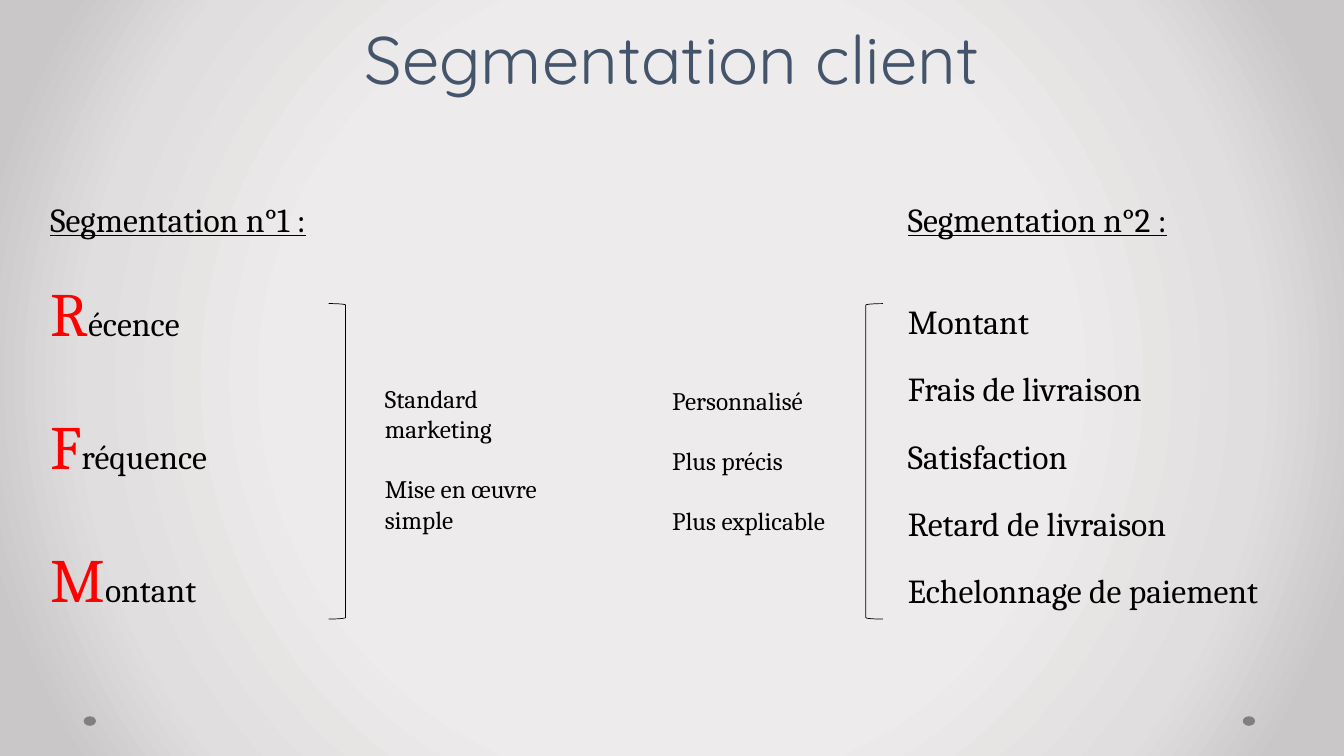
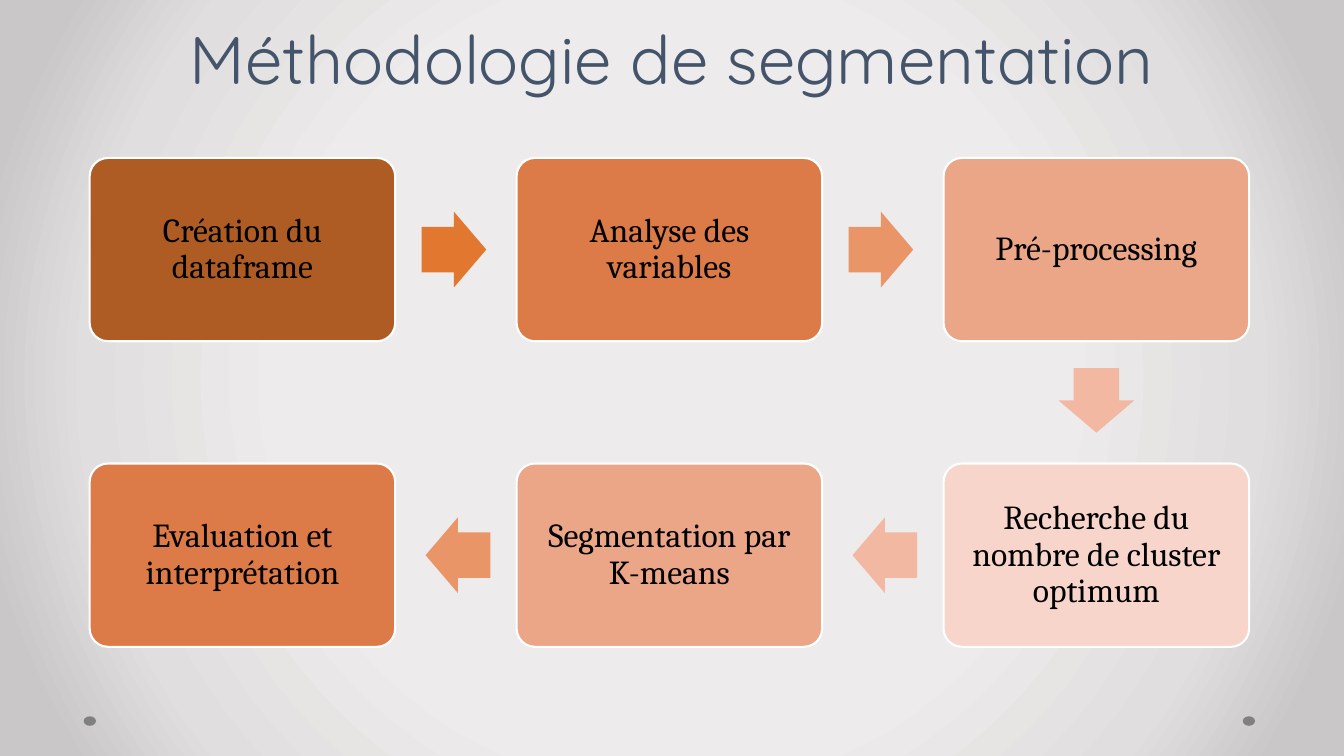
from dataclasses import dataclass
from itertools import pairwise

from lxml.etree import SubElement
from pptx import Presentation
from pptx.dml.color import RGBColor
from pptx.enum.shapes import MSO_SHAPE
from pptx.enum.text import MSO_ANCHOR, MSO_AUTO_SIZE, PP_ALIGN
from pptx.oxml.ns import qn
from pptx.presentation import Presentation as PresentationType
from pptx.shapes.autoshape import Shape
from pptx.slide import Slide
from pptx.util import Cm, Pt

BLACK = RGBColor(0x00, 0x00, 0x00)
WHITE = RGBColor(0xFF, 0xFF, 0xFF)
RED = RGBColor(0xFF, 0x00, 0x00)
DOT_GRAY = RGBColor(0x80, 0x80, 0x80)
TITLE_BLUE = RGBColor(0x44, 0x54, 0x6A)
BROWN = RGBColor(0xAF, 0x5C, 0x24)
BRIGHT_ORANGE = RGBColor(0xE2, 0x77, 0x2F)
ORANGE = RGBColor(0xDC, 0x7B, 0x47)
LIGHT_ORANGE = RGBColor(0xEA, 0x95, 0x68)
SALMON = RGBColor(0xEB, 0xA5, 0x87)
PINK = RGBColor(0xF2, 0xB8, 0xA2)
PALE_PINK = RGBColor(0xF7, 0xD5, 0xCA)
BACKGROUND_STOPS = (
    (50, RGBColor(0xED, 0xEB, 0xEB)),
    (76, RGBColor(0xE0, 0xDE, 0xDE)),
    (92, RGBColor(0xC9, 0xC7, 0xC7)),
)

TITLE_FONT = "Quicksand"
BODY_FONT = "Cambria"

CARD_WIDTH, CARD_HEIGHT = 7.7, 4.62
CARD_LEFT, CARD_TOP = 2.26, 3.98
COLUMN_STEP, ROW_STEP = 10.76, 7.7
ARROW_LENGTH, ARROW_BREADTH = 1.63, 1.91
ARROW_SETBACK = 0.05


@dataclass(frozen=True)
class Line:
    text: str
    size: float = 24
    space_before: float = 0
    line_spacing: float = 1.0
    underline: bool = False
    initial: str = ""


@dataclass(frozen=True)
class TextBlock:
    left: float
    top: float
    width: float
    height: float
    lines: tuple[Line, ...]


@dataclass(frozen=True)
class Step:
    text: str
    column: int
    row: int
    color: RGBColor
    arrow_color: RGBColor | None = None

    @property
    def center(self) -> tuple[float, float]:
        return (
            CARD_LEFT + self.column * COLUMN_STEP + CARD_WIDTH / 2,
            CARD_TOP + self.row * ROW_STEP + CARD_HEIGHT / 2,
        )


TEXT_BLOCKS = (
    TextBlock(22.63, 4.88, 10.21, 12.57, (
        Line("Segmentation n°2 :", underline=True),
        Line("Montant", space_before=30, line_spacing=1.5),
        *(
            Line(text, space_before=4.8, line_spacing=1.5)
            for text in (
                "Frais de livraison",
                "Satisfaction",
                "Retard de livraison",
                "Echelonnage de paiement",
            )
        ),
    )),
    TextBlock(1.02, 4.88, 7.72, 12.57, (
        Line("Segmentation n°1 :", underline=True),
        Line("écence", space_before=25.5, initial="R"),
        Line("réquence", space_before=42.2, initial="F"),
        Line("ontant", space_before=42.2, initial="M"),
    )),
    TextBlock(9.45, 9.53, 4.42, 4.11, (
        Line("Standard marketing", 18),
        Line("Mise en œuvre simple", 18, 21.5),
    )),
    TextBlock(16.69, 9.58, 4.95, 4.11, (
        Line("Personnalisé", 18),
        Line("Plus précis", 18, 21.5),
        Line("Plus explicable", 18, 21.5),
    )),
)

STEPS = (
    Step("Création du dataframe", 0, 0, BROWN, BRIGHT_ORANGE),
    Step("Analyse des variables", 1, 0, ORANGE, LIGHT_ORANGE),
    Step("Pré-processing", 2, 0, SALMON, PINK),
    Step("Recherche du nombre de cluster optimum", 2, 1, PALE_PINK, PINK),
    Step("Segmentation par K-means", 1, 1, SALMON, LIGHT_ORANGE),
    Step("Evaluation et interprétation", 0, 1, ORANGE),
)


def set_background(presentation: PresentationType) -> None:
    master = presentation.slide_master
    master.background.fill.gradient()
    gradient = master.element.find(".//" + qn("p:bgPr")).find(qn("a:gradFill"))
    for child in list(gradient):
        gradient.remove(child)
    stops = SubElement(gradient, qn("a:gsLst"))
    for position, color in BACKGROUND_STOPS:
        stop = SubElement(stops, qn("a:gs"), pos=str(position * 1000))
        SubElement(stop, qn("a:srgbClr"), val=str(color))
    shade = SubElement(gradient, qn("a:path"), path="circle")
    SubElement(shade, qn("a:fillToRect"), {side: "50000" for side in "ltrb"})


def add_shape(
    slide: Slide,
    kind: MSO_SHAPE,
    left: float,
    top: float,
    width: float,
    height: float,
    fill: RGBColor | None = None,
    line: RGBColor | None = None,
    line_width: float = 1,
) -> Shape:
    shape = slide.shapes.add_shape(kind, Cm(left), Cm(top), Cm(width), Cm(height))
    shape.shadow.inherit = False
    if fill is None:
        shape.fill.background()
    else:
        shape.fill.solid()
        shape.fill.fore_color.rgb = fill
    if line is None:
        shape.line.fill.background()
    else:
        shape.line.color.rgb = line
        shape.line.width = Pt(line_width)
    return shape


def add_titled_slide(presentation: PresentationType, text: str) -> Slide:
    slide = presentation.slides.add_slide(presentation.slide_layouts.get_by_name("Title Only"))
    title = slide.shapes.title
    title.left, title.top, title.width, title.height = Cm(1.69), Cm(0), Cm(30.48), Cm(2.59)
    frame = title.text_frame
    frame.text = text
    frame.auto_size = MSO_AUTO_SIZE.NONE
    frame.vertical_anchor = MSO_ANCHOR.BOTTOM
    paragraph = frame.paragraphs[0]
    paragraph.alignment = PP_ALIGN.CENTER
    paragraph.line_spacing = Pt(48)
    paragraph.font.size = Pt(48)
    paragraph.font.name = TITLE_FONT
    paragraph.font.color.rgb = TITLE_BLUE
    for left in (2.11, 31.32):
        add_shape(slide, MSO_SHAPE.OVAL, left, 18.05, 0.31, 0.24, DOT_GRAY)
    return slide


def add_text_block(slide: Slide, block: TextBlock) -> None:
    box = slide.shapes.add_textbox(
        Cm(block.left), Cm(block.top), Cm(block.width), Cm(block.height)
    )
    frame = box.text_frame
    frame.word_wrap = True
    for index, line in enumerate(block.lines):
        paragraph = frame.add_paragraph() if index else frame.paragraphs[0]
        paragraph.space_before = Pt(line.space_before)
        paragraph.line_spacing = line.line_spacing
        paragraph.font.name = BODY_FONT
        paragraph.font.size = Pt(line.size)
        paragraph.font.color.rgb = BLACK
        paragraph.font.underline = line.underline
        if line.initial:
            initial = paragraph.add_run()
            initial.text = line.initial
            initial.font.size = Pt(44)
            initial.font.color.rgb = RED
        paragraph.add_run().text = line.text


def add_card(slide: Slide, step: Step) -> None:
    x, y = step.center
    card = add_shape(
        slide, MSO_SHAPE.ROUNDED_RECTANGLE,
        x - CARD_WIDTH / 2, y - CARD_HEIGHT / 2, CARD_WIDTH, CARD_HEIGHT,
        step.color, WHITE, 1.5,
    )
    card.adjustments[0] = 0.1
    frame = card.text_frame
    frame.word_wrap = True
    frame.vertical_anchor = MSO_ANCHOR.MIDDLE
    frame.margin_left = frame.margin_right = Cm(0.4)
    frame.text = step.text
    paragraph = frame.paragraphs[0]
    paragraph.alignment = PP_ALIGN.CENTER
    paragraph.line_spacing = 0.9
    paragraph.font.name = BODY_FONT
    paragraph.font.size = Pt(24)
    paragraph.font.color.rgb = BLACK


def add_step_arrow(slide: Slide, start: Step, end: Step) -> None:
    across, down = end.column - start.column, end.row - start.row
    x, y = ((a + b) / 2 for a, b in zip(start.center, end.center))
    arrow = add_shape(
        slide, MSO_SHAPE.RIGHT_ARROW,
        x - across * ARROW_SETBACK - ARROW_LENGTH / 2,
        y - down * ARROW_SETBACK - ARROW_BREADTH / 2,
        ARROW_LENGTH, ARROW_BREADTH, start.arrow_color,
    )
    arrow.adjustments[0] = 0.6
    arrow.adjustments[1] = 0.5
    arrow.rotation = {(1, 0): 0, (0, 1): 90, (-1, 0): 180}[across, down]


def build_segmentation(presentation: PresentationType) -> None:
    slide = add_titled_slide(presentation, "Segmentation client")
    for block in TEXT_BLOCKS:
        add_text_block(slide, block)
    for left, rotation in ((8.28, 0), (21.82, 180)):
        bracket = add_shape(
            slide, MSO_SHAPE.RIGHT_BRACKET, left, 7.65, 0.43, 7.95, line=BLACK, line_width=0.5
        )
        bracket.rotation = rotation


def build_methodology(presentation: PresentationType) -> None:
    slide = add_titled_slide(presentation, "Méthodologie de segmentation")
    for step in STEPS:
        add_card(slide, step)
    for start, end in pairwise(STEPS):
        add_step_arrow(slide, start, end)


def main() -> None:
    presentation = Presentation()
    presentation.slide_width, presentation.slide_height = Cm(33.87), Cm(19.05)
    set_background(presentation)
    build_segmentation(presentation)
    build_methodology(presentation)
    presentation.save("out.pptx")


if __name__ == "__main__":
    main()
